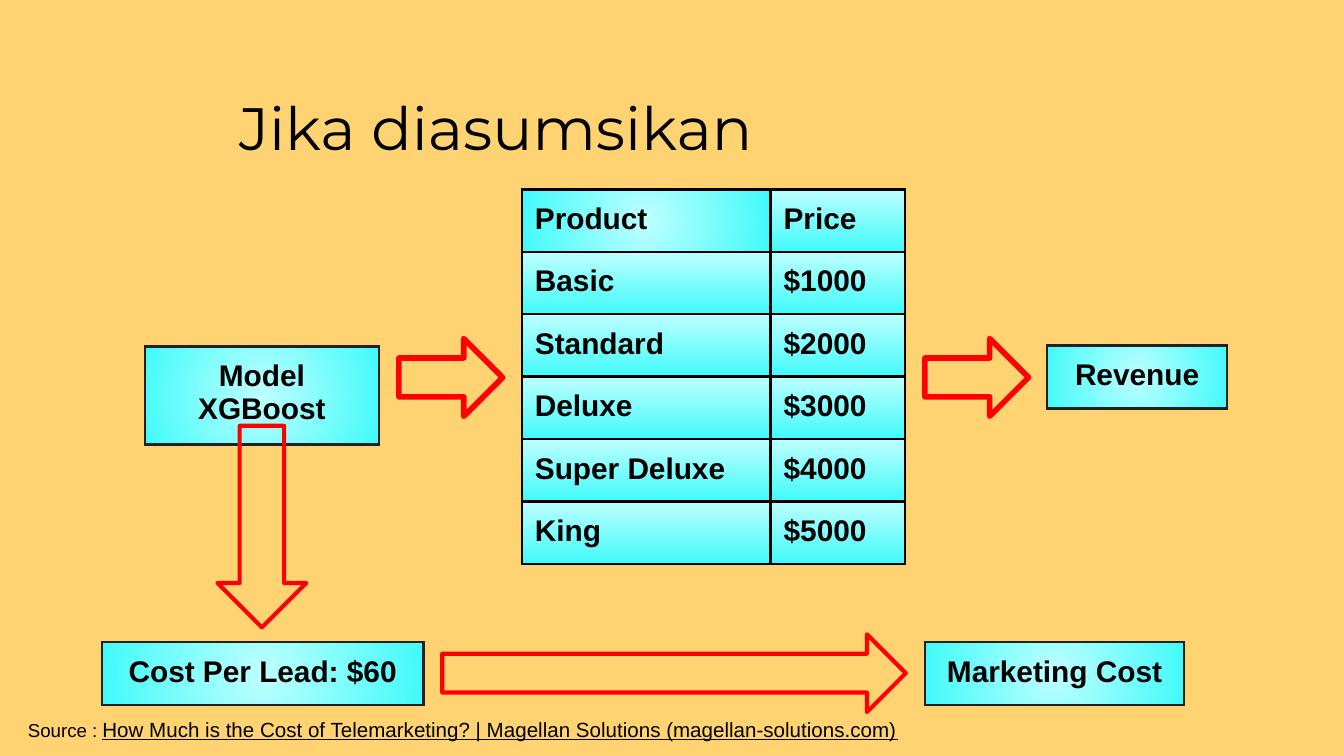
from lxml import etree
from pptx import Presentation
from pptx import util as u
from pptx.dml.color import RGBColor
from pptx.enum import shapes, text
from pptx.oxml.ns import qn

# Content; lengths in cm
TITLE = "Jika diasumsikan"
TITLE_AT = (4.27, 1.42, 10.9, 1.96)
SOURCE = [
    ("Source : ", 10, False),
    ("How Much is the Cost of Telemarketing? | Magellan Solutions "
     "(magellan-solutions.com)", 11, True),
]
SOURCE_AT = (0.28, 13.31, 17.91, 0.99)

PRICES = [
    ("Product", "Price"),
    ("Basic", "$1000"),
    ("Standard", "$2000"),
    ("Deluxe", "$3000"),
    ("Super Deluxe", "$4000"),
    ("King", "$5000"),
]
PRICES_AT = (9.86, 3.58)
PRICE_COLS = (4.7, 2.54)
HEADER_H, ROW_H = 1.13, 1.18

# Label, left, top, width
BOXES = [
    ("Cost Per Lead: $60", 1.93, 12.14, 6.07),
    ("Model XGBoost", 2.74, 6.55, 4.42),
    ("Revenue", 19.79, 6.53, 3.4),
    ("Marketing Cost", 17.48, 12.14, 4.9),
]
BOX_H = 1.19

# Shape, position, line width in points
RIGHT = shapes.MSO_SHAPE.RIGHT_ARROW
DOWN = shapes.MSO_SHAPE.DOWN_ARROW
ARROWS = [
    (RIGHT, (7.54, 6.4, 1.96, 1.47), 3),
    (RIGHT, (17.48, 6.4, 1.96, 1.47), 3),
    (DOWN, (4.11, 8.05, 1.68, 3.81), 2.25),
    (RIGHT, (8.36, 11.99, 8.76, 1.47), 2.25),
]

THEME = {
    "bg": "FFD371", "ink": "000000", "box_line": "212121", "arrow": "FF0000",
    "light": "BEFFFF", "deep": "41FAFA",
    "title_font": "Montserrat", "font": "Arial",
    "title_size": 32, "cell_size": 16, "border": 1.5, "inset": 0.25,
}


def cm(*values):
    return [u.Cm(v) for v in values]


def style(r, size, font=THEME["font"], bold=False, underline=False):
    f = r.font
    f.name, f.size, f.bold, f.underline = font, u.Pt(size), bold, underline
    f.color.rgb = RGBColor.from_string(THEME["ink"])


def add_color(parent, color):
    etree.SubElement(parent, qn("a:srgbClr"), val=color)


def decorate(cell, line, radial):
    """Give a cell four borders and a gradient, radial or downward."""
    pr = cell._tc.get_or_add_tcPr()
    for side in "LRTB":
        ln = etree.SubElement(pr, qn("a:ln" + side), w=str(u.Pt(THEME["border"])))
        add_color(etree.SubElement(ln, qn("a:solidFill")), line)
    grad = etree.SubElement(pr, qn("a:gradFill"), rotWithShape="1")
    stops = etree.SubElement(grad, qn("a:gsLst"))
    for pos, key in (("0", "light"), ("100000", "deep")):
        add_color(etree.SubElement(stops, qn("a:gs"), pos=pos), THEME[key])
    if radial:
        shade = etree.SubElement(grad, qn("a:path"), path="circle")
        etree.SubElement(shade, qn("a:fillToRect"), l="50000", t="50000",
                         r="50000", b="50000")
    else:
        etree.SubElement(grad, qn("a:lin"), ang="5400000", scaled="0")


def add_grid(s, rows, left, top, widths, heights, line, align):
    """Add a table whose first cell alone has the radial gradient."""
    frame = s.shapes.add_table(len(rows), len(widths),
                               *cm(left, top, sum(widths), sum(heights)))
    tbl = frame.table
    tbl.first_row = tbl.horz_banding = False
    for col, w in zip(tbl.columns, widths):
        col.width = u.Cm(w)
    for i, (row, h) in enumerate(zip(rows, heights)):
        tbl.rows[i].height = u.Cm(h)
        for j, label in enumerate(row):
            cell = tbl.cell(i, j)
            cell.margin_left = cell.margin_right = u.Cm(THEME["inset"])
            cell.margin_top = cell.margin_bottom = u.Cm(THEME["inset"])
            p = cell.text_frame.paragraphs[0]
            p.text, p.alignment = label, align
            style(p.runs[0], THEME["cell_size"], bold=True)
            decorate(cell, line, radial=(i == j == 0))


def add_text(s, at, anchor):
    tf = s.shapes.add_textbox(*cm(*at)).text_frame
    tf.word_wrap, tf.vertical_anchor = True, anchor
    tf.margin_left = tf.margin_right = u.Cm(THEME["inset"])
    tf.margin_top = tf.margin_bottom = u.Cm(THEME["inset"])
    return tf.paragraphs[0]


prs = Presentation()
prs.slide_width, prs.slide_height = cm(25.4, 14.29)
s = prs.slides.add_slide(prs.slide_layouts[6])
s.background.fill.solid()
s.background.fill.fore_color.rgb = RGBColor.from_string(THEME["bg"])

# Title
p = add_text(s, TITLE_AT, text.MSO_ANCHOR.MIDDLE)
p.text = TITLE
style(p.runs[0], THEME["title_size"], THEME["title_font"])

# Price table and labelled boxes
heights = [HEADER_H] + [ROW_H] * (len(PRICES) - 1)
add_grid(s, PRICES, *PRICES_AT, PRICE_COLS, heights, THEME["ink"],
         text.PP_ALIGN.LEFT)
for label, left, top, width in BOXES:
    add_grid(s, [(label,)], left, top, [width], [BOX_H], THEME["box_line"],
             text.PP_ALIGN.CENTER)

# Flow arrows
for kind, at, weight in ARROWS:
    sp = s.shapes.add_shape(kind, *cm(*at))
    sp.shadow.inherit = False
    sp.fill.background()
    sp.line.color.rgb = RGBColor.from_string(THEME["arrow"])
    sp.line.width = u.Pt(weight)

# Source line
p = add_text(s, SOURCE_AT, text.MSO_ANCHOR.TOP)
for words, size, underline in SOURCE:
    r = p.add_run()
    r.text = words
    style(r, size, underline=underline)

prs.save("out.pptx")
